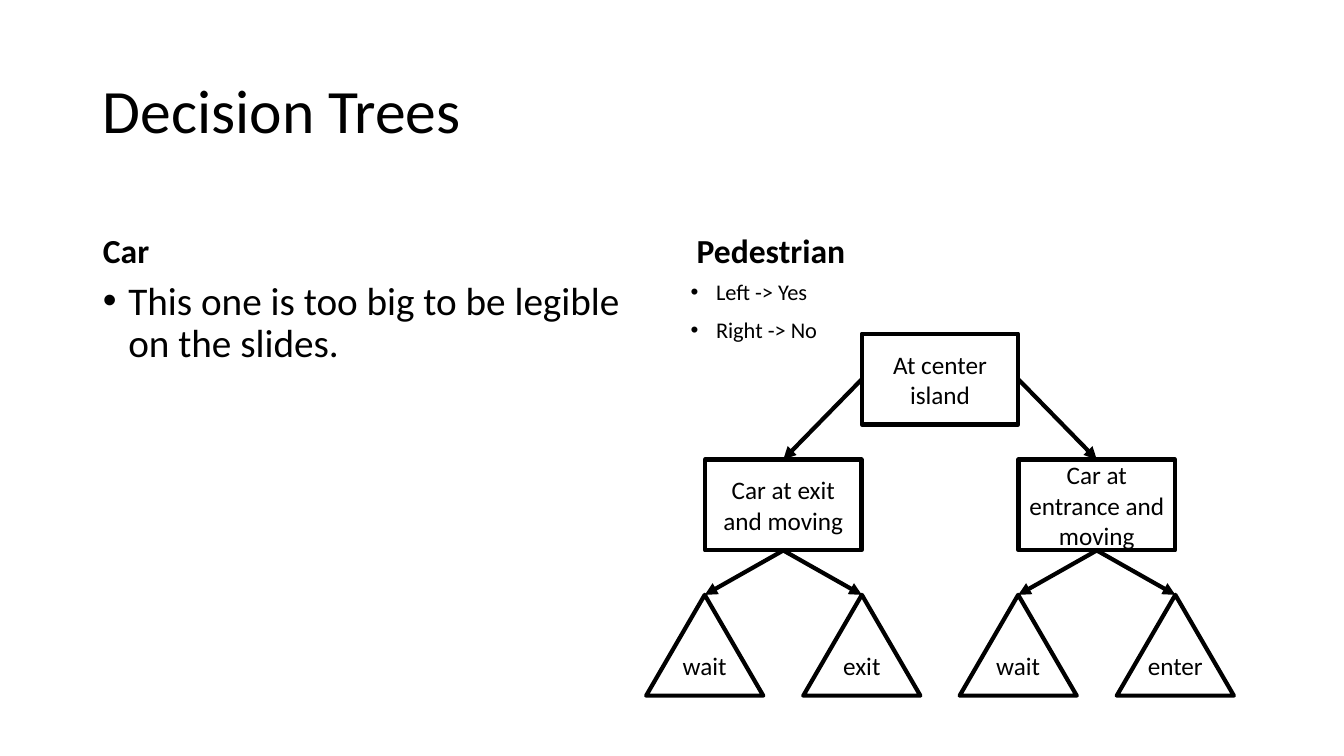
"""Build the Decision Trees slide with a pedestrian decision tree."""
from dataclasses import dataclass
from typing import Any, Optional

from lxml.etree import SubElement
from pptx import Presentation
from pptx.dml.color import RGBColor
from pptx.enum.shapes import MSO_CONNECTOR as Link, MSO_SHAPE as Preset
from pptx.enum.text import MSO_ANCHOR as Anchor, MSO_AUTO_SIZE as AutoSize, PP_ALIGN as Align
from pptx.oxml.ns import qn
from pptx.util import Cm, Pt


@dataclass(frozen=True)
class Theme:
    font: str = "Calibri"
    ink: RGBColor = RGBColor(0, 0, 0)
    paper: RGBColor = RGBColor(255, 255, 255)
    title: int = 44
    body: int = 28
    heading: int = 24
    node: int = 18
    key: int = 16
    stroke: int = 3


@dataclass(frozen=True)
class Panel:
    index: int
    box: tuple[float, float, float, float]
    lines: tuple[str, ...]
    size: int
    anchor: Any = Anchor.TOP
    bold: bool = False
    bullet: bool = False
    before: int = 10


@dataclass(frozen=True)
class Node:
    text: str
    no_text_branch: Optional["Node"] = None
    yes: Optional["Node"] = None
    no: Optional["Node"] = None


@dataclass(frozen=True)
class Level:
    top: float
    width: float
    height: float
    spread: float
    exits: tuple[int, int]


@dataclass(frozen=True)
class Decision:
    text: str
    branches: tuple["Decision", ...] = ()


THEME = Theme()
TOP_SITE, LEFT_SITE, BOTTOM_SITE, RIGHT_SITE = range(4)
ROOT_CENTER = 23.69
LEVELS = (
    Level(8.41, 3.94, 2.29, 3.95, (LEFT_SITE, RIGHT_SITE)),
    Level(11.58, 3.94, 2.29, 1.98, (BOTTOM_SITE, BOTTOM_SITE)),
    Level(14.99, 2.95, 2.54, 0, (BOTTOM_SITE, BOTTOM_SITE)),
)
PEDESTRIAN = Decision("At center island", (
    Decision("Car at exit and moving", (Decision("wait"), Decision("exit"))),
    Decision("Car at entrance and moving", (Decision("wait"), Decision("enter"))),
))
PANELS = (
    Panel(0, (2.34, 1.02, 29.21, 3.68), ("Decision Trees",), THEME.title, Anchor.MIDDLE, before=0),
    Panel(1, (2.34, 4.67, 14.33, 2.29), ("Car",), THEME.heading, Anchor.BOTTOM, bold=True),
    Panel(2, (2.34, 6.96, 14.33, 10.24), ("This one is too big to be legible on the slides.",),
          THEME.body, bullet=True),
    Panel(3, (17.3, 4.65, 14.4, 2.29), ("Pedestrian",), THEME.heading, Anchor.BOTTOM, bold=True),
    Panel(4, (17.15, 6.96, 14.33, 10.24), ("Left -> Yes", "Right -> No"), THEME.key, bullet=True),
)


def apply(target: Any, values: dict[str, Any]) -> None:
    """Set every named attribute on the target."""
    for name, value in values.items():
        setattr(target, name, value)


def style_font(font: Any, size: int, bold: bool = False) -> None:
    """Give a font the theme face and ink."""
    apply(font, {"name": THEME.font, "size": Pt(size), "bold": bold})
    font.color.rgb = THEME.ink


def add_bullet(paragraph: Any) -> None:
    """Give a paragraph a hanging round bullet."""
    properties = paragraph._p.get_or_add_pPr()
    properties.set("marL", str(Cm(0.64)))
    properties.set("indent", str(-Cm(0.64)))
    SubElement(properties, qn("a:buFont"), typeface="Arial")
    SubElement(properties, qn("a:buChar"), char="•")


def fill_panel(slide: Any, panel: Panel) -> None:
    """Place and fill one template placeholder."""
    holder = slide.placeholders[panel.index]
    apply(holder, dict(zip(("left", "top", "width", "height"), map(Cm, panel.box))))
    frame = holder.text_frame
    frame.text = "\n".join(panel.lines)
    apply(frame, {"word_wrap": True, "auto_size": AutoSize.NONE, "vertical_anchor": panel.anchor})
    for paragraph in frame.paragraphs:
        apply(paragraph, {"alignment": Align.LEFT, "line_spacing": 0.9,
                          "space_before": Pt(panel.before)})
        style_font(paragraph.runs[0].font, panel.size, panel.bold)
        if panel.bullet:
            add_bullet(paragraph)


def draw_outline(line: Any) -> None:
    """Apply the theme stroke."""
    line.color.rgb = THEME.ink
    line.width = Pt(THEME.stroke)


def draw_arrow(slide: Any, parent: Any, site: int, child: Any) -> None:
    """Join a decision to the top of its branch with an arrow."""
    arrow = slide.shapes.add_connector(Link.STRAIGHT, 0, 0, 0, 0)
    arrow.begin_connect(parent, site)
    arrow.end_connect(child, TOP_SITE)
    draw_outline(arrow.line)
    SubElement(arrow.line._get_or_add_ln(), qn("a:tailEnd"), type="triangle")
    SubElement(arrow._element.spPr, qn("a:effectLst"))


def draw_decision(slide: Any, decision: Decision, center: float, depth: int = 0) -> Any:
    """Draw a decision with its branches and return its shape."""
    level = LEVELS[depth]
    inner = bool(decision.branches)
    shape = slide.shapes.add_shape(
        Preset.RECTANGLE if inner else Preset.ISOSCELES_TRIANGLE,
        Cm(center - level.width / 2), Cm(level.top), Cm(level.width), Cm(level.height))
    shape.shadow.inherit = False
    shape.fill.solid()
    shape.fill.fore_color.rgb = THEME.paper
    draw_outline(shape.line)
    frame = shape.text_frame
    apply(frame, {"text": decision.text, "word_wrap": inner,
                  "vertical_anchor": Anchor.MIDDLE if inner else Anchor.TOP})
    label = frame.paragraphs[0]
    label.alignment = Align.CENTER
    style_font(label.runs[0].font, THEME.node)
    for branch, side, site in zip(decision.branches, (-1, 1), level.exits):
        child = draw_decision(slide, branch, center + side * level.spread, depth + 1)
        draw_arrow(slide, shape, site, child)
    return shape


def main() -> None:
    """Build and save the slide."""
    deck = Presentation()
    apply(deck, {"slide_width": Cm(33.87), "slide_height": Cm(19.05)})
    slide = deck.slides.add_slide(deck.slide_layouts.get_by_name("Comparison"))
    for panel in PANELS:
        fill_panel(slide, panel)
    draw_decision(slide, PEDESTRIAN, ROOT_CENTER)
    deck.save("out.pptx")


if __name__ == "__main__":
    main()
